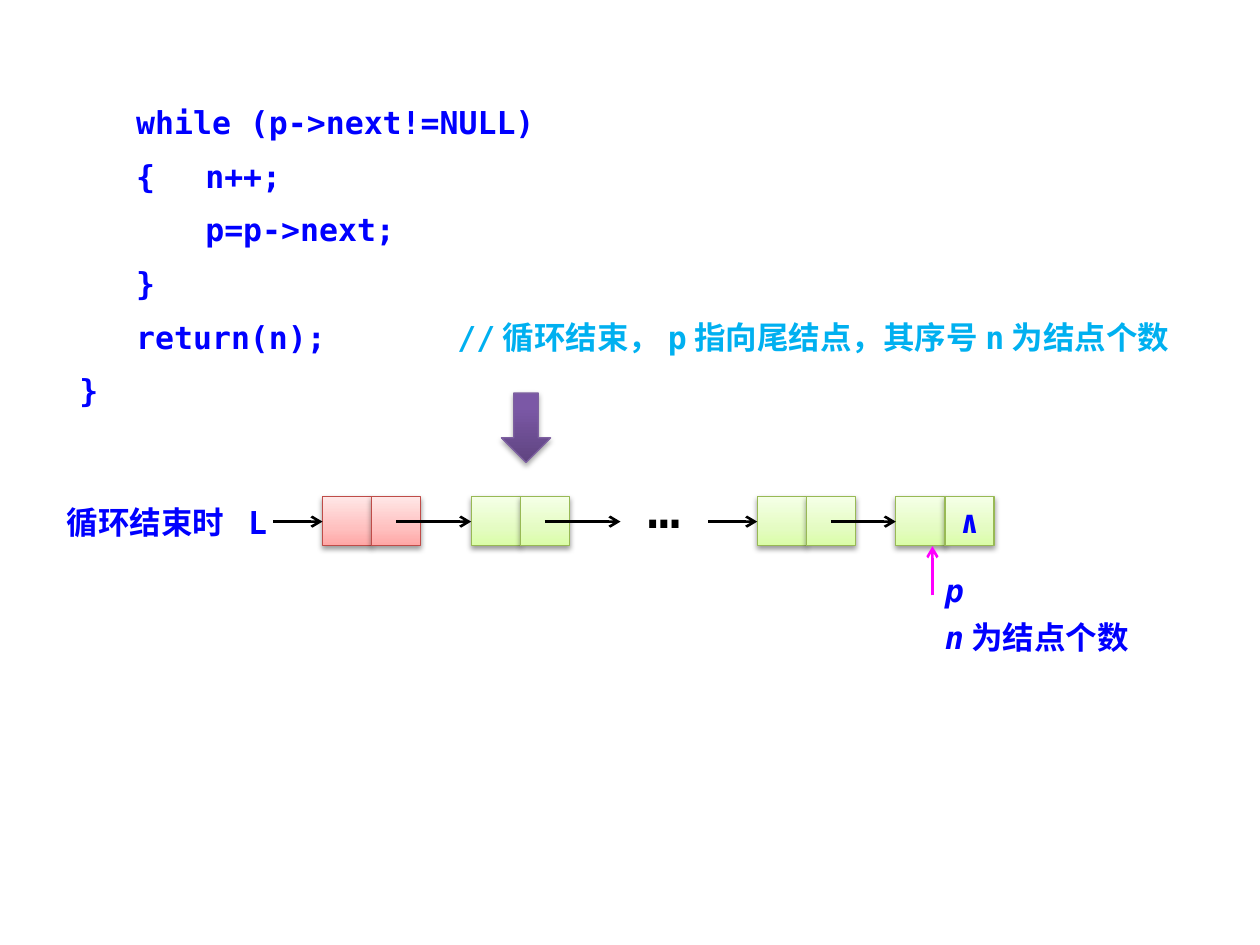
from pptx import Presentation
from pptx.dml.color import RGBColor
from pptx.enum.shapes import MSO_CONNECTOR, MSO_SHAPE
from pptx.enum.text import MSO_ANCHOR, MSO_AUTO_SIZE, PP_ALIGN
from pptx.oxml import parse_xml
from pptx.oxml.ns import nsdecls
from pptx.util import Inches, Pt

FONT = "DejaVu Sans Mono"
BLUE, CYAN, BLACK, WHITE, MAGENTA = "0000FF", "00B0F0", "000000", "FFFFFF", "FF00FF"

CODE = [
    [("   while (p->next!=NULL)", {})],
    [("   {\tn++;", {})],
    [("\tp=p->next;", {})],
    [("   }", {})],
    [("   return(n);\t\t", {}), ("//循环结束，p指向尾结点，其序号n为结点个数", {"color": CYAN})],
    [("}", {})],
]
CODE_TABS = (1, 2, 3)
TAIL_NOTE = [
    [("p", {"italic": True})],
    [("n", {"italic": True}), ("为结点个数", {})],
]

RED = {"stops": [(0, "FFA6A5"), (35, "FFC0BF"), (100, "FFE7E7")], "outline": "BF4C48"}
GREEN = {"stops": [(0, "DAFDA7"), (35, "E4FCC2"), (100, "F5FFE7")], "outline": "98B955"}
PURPLE = {"stops": [(0, "5F4480"), (80, "7B58A6"), (100, "7C57A8")], "outline": "7D60A0"}

CELL = 0.39
ROW = 3.94
MIDDLE = 4.14
LINK = 0.6
NODES = [(2.56, RED), (3.74, GREEN), (6.01, GREEN), (7.11, GREEN)]
HEAD, FIRST, BEFORE_LAST, LAST = [left for left, style in NODES]
POINTER = 1.5 * CELL
TAIL_X = 7.4
ARROWS = [
    ((HEAD - CELL, MIDDLE), (HEAD, MIDDLE), BLACK),
    ((HEAD + POINTER, MIDDLE), (FIRST, MIDDLE), BLACK),
    ((FIRST + POINTER, MIDDLE), (FIRST + POINTER + LINK, MIDDLE), BLACK),
    ((BEFORE_LAST - CELL, MIDDLE), (BEFORE_LAST, MIDDLE), BLACK),
    ((BEFORE_LAST + POINTER, MIDDLE), (LAST, MIDDLE), BLACK),
    ((TAIL_X, MIDDLE + POINTER), (TAIL_X, MIDDLE + CELL / 2), MAGENTA),
]


def rgb(value):
    return RGBColor.from_string(value)


def write(shape, paragraphs, size=18, color=BLUE, bold=True, before=0, spacing=None, tabs=(),
          align=PP_ALIGN.LEFT, anchor=MSO_ANCHOR.TOP, wrap=True, insets=(0.1, 0.05)):
    frame = shape.text_frame
    frame.word_wrap = wrap
    frame.vertical_anchor = anchor
    frame.margin_left = frame.margin_right = Inches(insets[0])
    frame.margin_top = frame.margin_bottom = Inches(insets[1])
    for index, runs in enumerate(paragraphs):
        paragraph = frame.add_paragraph() if index else frame.paragraphs[0]
        paragraph.alignment = align
        if index:
            paragraph.space_before = Pt(before)
        if spacing:
            paragraph.line_spacing = Pt(spacing)
        if tabs:
            stops = "".join(f'<a:tab pos="{Inches(tab)}" algn="l"/>' for tab in tabs)
            paragraph._p.get_or_add_pPr().append(
                parse_xml(f'<a:tabLst {nsdecls("a")}>{stops}</a:tabLst>'))
        for text, changes in runs:
            run = paragraph.add_run()
            run.text = text
            run.font.name = FONT
            run.font.size = Pt(size)
            run.font.bold = bold
            run.font.italic = changes.get("italic", False)
            run.font.color.rgb = rgb(changes.get("color", color))


def add_text(slide, box, paragraphs, **formatting):
    shape = slide.shapes.add_textbox(*map(Inches, box))
    write(shape, paragraphs, **formatting)
    shape.text_frame.auto_size = MSO_AUTO_SIZE.SHAPE_TO_FIT_TEXT
    return shape


def add_block(slide, kind, box, style, opacity=38):
    shape = slide.shapes.add_shape(kind, *map(Inches, box))
    stops = "".join(
        f'<a:gs pos="{position * 1000}"><a:srgbClr val="{color}"/></a:gs>'
        for position, color in style["stops"]
    )
    properties = shape.element.spPr
    properties.insert(2, parse_xml(
        f'<a:gradFill {nsdecls("a")} rotWithShape="1"><a:gsLst>{stops}</a:gsLst>'
        '<a:lin ang="16200000" scaled="0"/></a:gradFill>'
    ))
    shape.line.color.rgb = rgb(style["outline"])
    shape.line.width = Pt(0.75)
    properties.append(parse_xml(
        f'<a:effectLst {nsdecls("a")}><a:outerShdw blurRad="{Pt(3.1)}" dist="{Pt(1.6)}" '
        f'dir="5400000" rotWithShape="0"><a:srgbClr val="{BLACK}">'
        f'<a:alpha val="{opacity * 1000}"/></a:srgbClr></a:outerShdw></a:effectLst>'
    ))
    return shape


def add_arrow(slide, start, end, color):
    connector = slide.shapes.add_connector(
        MSO_CONNECTOR.STRAIGHT, *map(Inches, (*start, *end)))
    connector.line.color.rgb = rgb(color)
    connector.line.width = Pt(1.5)
    properties = connector.element.spPr
    properties.xpath("a:ln")[0].append(
        parse_xml(f'<a:tailEnd {nsdecls("a")} type="arrow"/>'))
    properties.append(parse_xml(f'<a:effectLst {nsdecls("a")}/>'))


def main():
    presentation = Presentation()
    presentation.slide_width, presentation.slide_height = Inches(10), Inches(7.5)
    slide = presentation.slides.add_slide(presentation.slide_layouts[6])

    code = add_text(slide, (0.47, 0.7, 9.06, 2.06), CODE, before=9, tabs=CODE_TABS,
                    insets=(0.16, 0.12))
    code.fill.solid()
    code.fill.fore_color.rgb = rgb(WHITE)

    for left, style in NODES:
        for column in range(2):
            cell = add_block(slide, MSO_SHAPE.RECTANGLE,
                             (left + column * CELL, ROW, CELL, CELL), style)
    write(cell, [[("∧", {})]], align=PP_ALIGN.CENTER, anchor=MSO_ANCHOR.MIDDLE, wrap=False)

    for start, end, color in ARROWS:
        add_arrow(slide, start, end, color)

    add_text(slide, (0.43, ROW, 1.65, 0.4), [[("循环结束时", {})]])
    add_text(slide, (1.87, ROW, 0.29, 0.4), [[("L", {})]])
    add_text(slide, (5.04, 3.7, 0.47, 0.63), [[("…", {})]], size=32, color=BLACK, bold=False)
    add_text(slide, (TAIL_X, 4.53, 1.99, 0.76), TAIL_NOTE, before=9, spacing=18)
    add_block(slide, MSO_SHAPE.DOWN_ARROW, (3.98, 3.12, CELL, 0.55), PURPLE, opacity=35)

    presentation.save("out.pptx")


if __name__ == "__main__":
    main()
